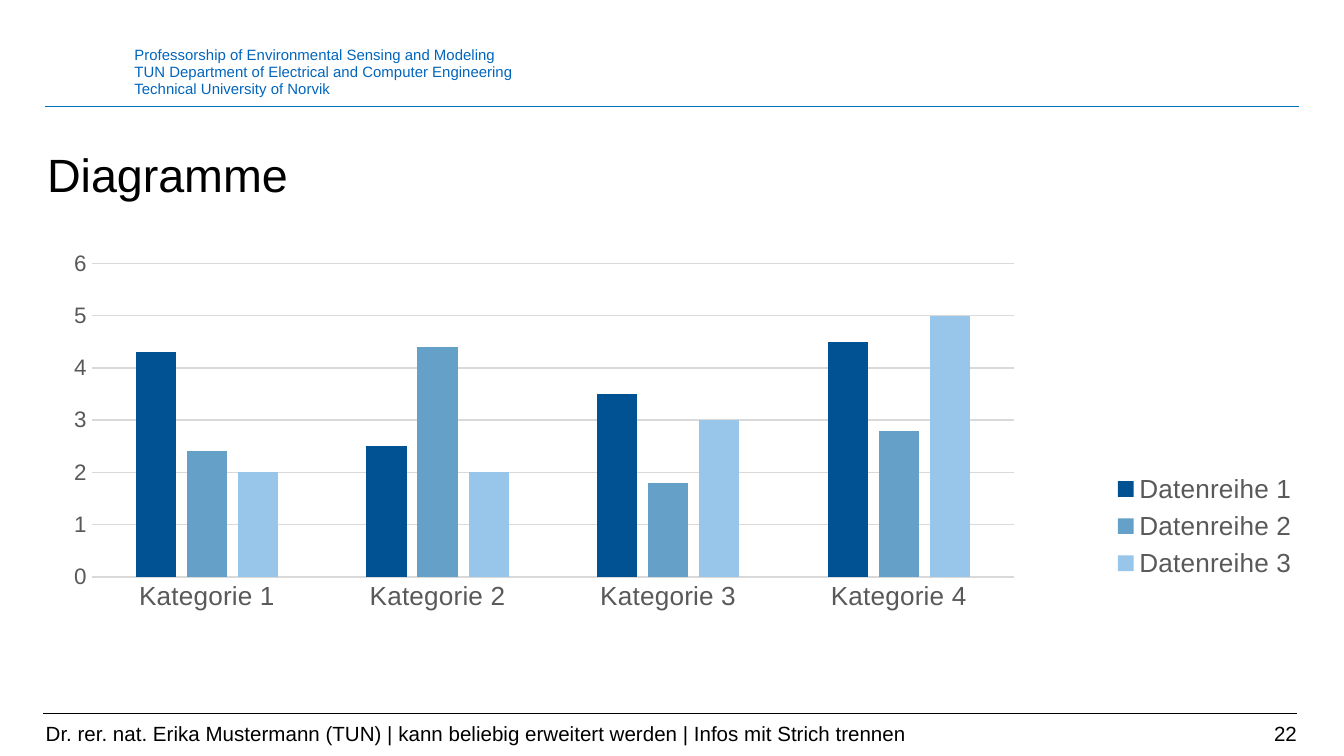
from lxml.etree import SubElement
from pptx import Presentation
from pptx.chart.data import CategoryChartData as Data
from pptx.dml.color import RGBColor
from pptx.enum.chart import XL_CHART_TYPE as Kind, XL_LEGEND_POSITION as Side
from pptx.enum.chart import XL_TICK_MARK as Tick
from pptx.enum.shapes import MSO_CONNECTOR as Link
from pptx.enum.text import MSO_ANCHOR as Anchor, PP_ALIGN as Align
from pptx.oxml import parse_xml
from pptx.oxml.ns import qn
from pptx.util import Pt

BLUE, GREY, RULE = "0065BD", "595959", "D9D9D9"
CATS = [f"Kategorie {n}" for n in range(1, 5)]
ROWS = [
    ("Datenreihe 1", (4.3, 2.5, 3.5, 4.5), "005293"),
    ("Datenreihe 2", (2.4, 4.4, 1.8, 2.8), "64A0C8"),
    ("Datenreihe 3", (2, 2, 3, 5), "98C6EA"),
]


def tint(code):
    return RGBColor.from_string(code)


def place(part, index, box, inner=False):
    """Give a chart part a manual layout, in fractions of the chart."""
    for old in part.findall(qn("c:layout")):
        part.remove(old)
    layout = parse_xml(
        '<c:layout xmlns:c="http://schemas.openxmlformats.org/drawingml/2006/chart"/>')
    manual = SubElement(layout, qn("c:manualLayout"))
    rules = [("layoutTarget", "inner")] if inner else []
    rules += [("xMode", "edge"), ("yMode", "edge"), *zip("xywh", box)]
    for tag, val in rules:
        SubElement(manual, qn(f"c:{tag}")).set("val", str(val))
    part.insert(index, layout)


class Deck:
    face = "Arial"

    def __init__(self, wide, high):
        self.prs = Presentation()
        self.prs.slide_width, self.prs.slide_height = Pt(wide), Pt(high)
        self.slide = self.prs.slides.add_slide(self.prs.slide_layouts[6])

    def style(self, font, size, color):
        font.name, font.size = self.face, Pt(size)
        font.color.rgb = tint(color)

    def stroke(self, line, color):
        line.color.rgb, line.width = tint(color), Pt(0.75)

    def text(self, box, words, size, color="000000", lead=None,
             align=Align.LEFT, anchor=Anchor.TOP, pad=0):
        frame = self.slide.shapes.add_textbox(*map(Pt, box)).text_frame
        frame.word_wrap, frame.vertical_anchor = True, anchor
        frame.margin_left = frame.margin_right = 0
        frame.margin_top = frame.margin_bottom = Pt(pad)
        frame.text = words
        for para in frame.paragraphs:
            para.alignment = align
            if lead:
                para.line_spacing = Pt(lead)
            for run in para.runs:
                self.style(run.font, size, color)

    def line(self, left, right, y, color):
        rule = self.slide.shapes.add_connector(
            Link.STRAIGHT, Pt(left), Pt(y), Pt(right), Pt(y))
        self.stroke(rule.line, color)
        SubElement(rule._element.spPr, qn("a:effectLst"))

    def chart(self, box, cats, rows):
        data = Data()
        data.categories = cats
        for name, vals, _ in rows:
            data.add_series(name, vals)
        chart = self.slide.shapes.add_chart(
            Kind.COLUMN_CLUSTERED, *map(Pt, box), data).chart
        self.style(chart.font, 10, "000000")
        chart.has_title = False

        plot = chart.plots[0]
        plot.gap_width, plot.overlap = 219, -27
        plot.vary_by_categories = False
        for bar, (_, _, color) in zip(plot.series, rows):
            bar.format.fill.solid()
            bar.format.fill.fore_color.rgb = tint(color)

        base, scale = chart.category_axis, chart.value_axis
        for axis, size in ((base, 14), (scale, 12)):
            axis.major_tick_mark = axis.minor_tick_mark = Tick.NONE
            self.style(axis.tick_labels.font, size, GREY)
        self.stroke(base.format.line, RULE)
        scale.format.line.fill.background()
        self.stroke(scale.major_gridlines.format.line, RULE)
        scale.minimum_scale, scale.maximum_scale, scale.major_unit = 0, 6, 1

        chart.has_legend = True
        legend = chart.legend
        legend.position, legend.include_in_layout = Side.BOTTOM, False
        self.style(legend.font, 14, GREY)
        place(legend._element, 1, (0.83, 0.51, 0.15, 0.27))
        area = chart._chartSpace.find(".//" + qn("c:plotArea"))
        place(area, 0, (0.035, 0.049, 0.721, 0.711), inner=True)


def main():
    deck = Deck(720, 405)
    deck.text((72, 25.2, 517, 27.4),
              "Professorship of Environmental Sensing and Modeling\n"
              "TUN Department of Electrical and Computer Engineering\n"
              "Technical University of Norvik", 8, BLUE, lead=9)
    deck.line(24, 695.7, 57, "0073BB")
    deck.line(23, 694.8, 382.3, "000000")
    deck.chart((25.2, 129.6, 685.4, 236.2), CATS, ROWS)
    deck.text((25.2, 76.3, 670.3, 32.4), "Diagramme", 25, lead=32)
    foot = dict(size=11, anchor=Anchor.MIDDLE, pad=3.6)
    deck.text((533.5, 382.3, 161.3, 21.6), "22", align=Align.RIGHT, **foot)
    deck.text((24.5, 382.3, 509, 21.6),
              "Dr. rer. nat. Erika Mustermann (TUN) | kann beliebig erweitert "
              "werden | Infos mit Strich trennen", **foot)
    deck.prs.save("out.pptx")


if __name__ == "__main__":
    main()
